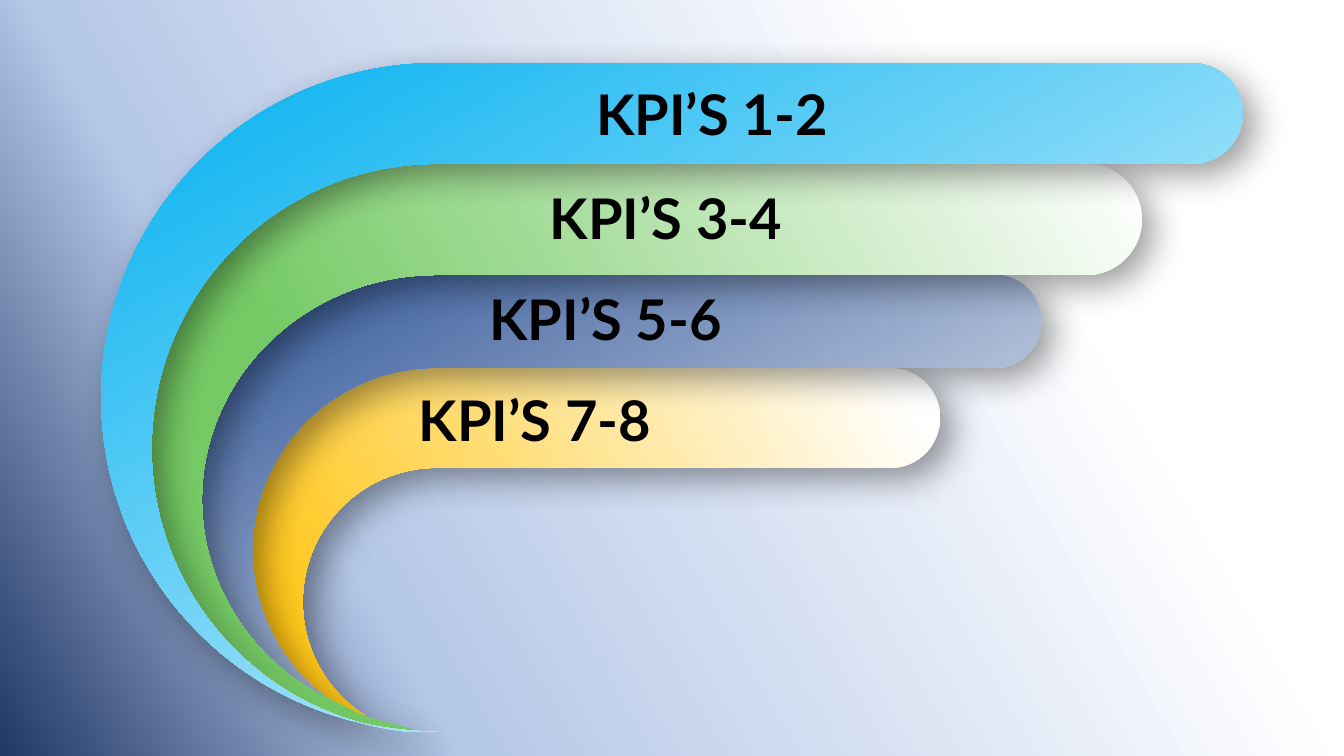
from math import cos, radians, sin, tan

from pptx import Presentation
from pptx.dml.color import RGBColor
from pptx.enum.text import MSO_AUTO_SIZE
from pptx.oxml import parse_xml
from pptx.oxml.ns import nsdecls, qn
from pptx.util import Cm, Pt

FIT_SHAPE = MSO_AUTO_SIZE.SHAPE_TO_FIT_TEXT
SHADOW = (f'<a:outerShdw {nsdecls("a")} blurRad="{Pt(25)}" dist="{Pt(12)}" dir="2700000" '
          'algn="tl" rotWithShape="0"><a:srgbClr val="000000"><a:alpha val="40000"/>'
          '</a:srgbClr></a:outerShdw>')


def set_gradient(fill, element, stops):
    """Diagonal gradient from the upper right to the lower left."""
    fill.gradient()
    fill.gradient_angle = 210
    gs_lst = element.find('.//' + qn('a:gsLst'))
    for gs in list(gs_lst):
        gs_lst.remove(gs)
    for pos, color in stops:
        gs_lst.append(parse_xml(f'<a:gs {nsdecls("a")} pos="{pos * 1000}">'
                                f'<a:srgbClr val="{color}"/></a:gs>'))


def arc(cx, cy, rx, ry, *angles):
    """Bezier curves on an ellipse; degrees run counterclockwise from the top."""
    curves = []
    for start, end in zip(angles, angles[1:]):
        a, b = radians(start), radians(end)
        k = 4 / 3 * tan((b - a) / 4)
        curves.append([
            (cx - rx * (sin(a) + k * cos(a)), cy - ry * (cos(a) - k * sin(a))),
            (cx - rx * (sin(b) - k * cos(b)), cy - ry * (cos(b) + k * sin(b))),
            (cx - rx * sin(b), cy - ry * cos(b))])
    return curves


prs = Presentation()
prs.slide_width, prs.slide_height = Cm(33.87), Cm(19.05)
slide = prs.slides.add_slide(prs.slide_layouts[6])

# Background
set_gradient(slide.background.fill, slide.element,
             [(24, 'FFFFFF'), (74, 'B4C7E7'), (100, '203864')])

# Nested ellipses in cm: each band lies between one and the next
BEND_X = 11
tops = [1.59, 4.13, 6.93, 9.27, 11.79]
ellipses = []
for i, top in enumerate(tops):
    cy = 10.01 + 1.29 * i
    ellipses.append((BEND_X, cy, 8.45 - 1.27 * i, cy - top))

# Label, text box (left, top, width), stops, rotation, outer and inner end angles, tip
bands = [
    ('KPI’S 1-2', (14.78, 1.88, 6.88), [(0, 'FFFFFF'), (100, '00B0F0')], 90, 180, 175, []),
    ('KPI’S 3-4', (13.61, 4.5, 7.11), [(0, 'FFFFFF'), (74, '75CA65')], 0, 174, 151.6,
     [(9.2, 18.06), (10.62, 18.44)]),
    ('KPI’S 5-6', (12.09, 7.04, 7.11), [(0, 'FFFFFF'), (100, '2F5597')], 90, 151.6, 143.7, []),
    ('KPI’S 7-8', (10.31, 9.6, 6.63), [(5, 'FFFFFF'), (100, 'FFC000')], 0, 143.7, 145.7,
     [(9.19, 18.01), (8.69, 17.83)]),
]

# Bands from the innermost outwards, each grouped with its label
for i, band in reversed(list(enumerate(bands))):
    label, (left, top, width), stops, rotation, outer_end, inner_end, tip = band
    shapes = slide.shapes.add_group_shape().shapes
    radius = (tops[i + 1] - tops[i]) / 2
    cap_x = 31.32 - 2.54 * i - radius
    outer_tip = arc(*ellipses[i], 0, outer_end)[0][-1]
    segments = ([[(cap_x, tops[i])]]
                + arc(cap_x, tops[i] + radius, radius, radius, 0, -90, -180)
                + [[(BEND_X, tops[i + 1])]]
                + arc(*ellipses[i + 1], 0, 90, inner_end)
                + [[point] for point in tip + [outer_tip]]
                + arc(*ellipses[i], outer_end, 90, 0))
    points = [(BEND_X, tops[i])] + [point for segment in segments for point in segment]

    # A turned band is drawn sideways, so that its gradient turns with it
    if rotation:
        xs, ys = zip(*points)
        mid_x, mid_y = (min(xs) + max(xs)) / 2, (min(ys) + max(ys)) / 2
        points = [(mid_x + y - mid_y, mid_y - x + mid_x) for x, y in points]

    points = [(Cm(x), Cm(y)) for x, y in points]
    builder = shapes.build_freeform(*points[0])
    builder.add_line_segments(points[1:], close=True)
    sp = builder.convert_to_shape()

    # Join each run of three points into one curve
    lines = iter(sp.element.findall('.//' + qn('a:lnTo')))
    for segment in segments:
        first, *others = [next(lines) for _ in segment]
        if others:
            curve = parse_xml(f'<a:cubicBezTo {nsdecls("a")}/>')
            first.addprevious(curve)
            for line in [first] + others:
                curve.append(line[0])
                line.getparent().remove(line)

    sp.rotation = rotation
    set_gradient(sp.fill, sp.element, stops)
    sp.line.fill.background()
    sp.shadow.inherit = False
    sp.element.spPr.find(qn('a:effectLst')).append(parse_xml(SHADOW))

    tf = shapes.add_textbox(Cm(left), Cm(top), Cm(width), Cm(1.96)).text_frame
    tf.word_wrap = True
    tf.auto_size = FIT_SHAPE
    p = tf.paragraphs[0]
    p.text = label
    p.font.name, p.font.size, p.font.bold = 'Lato', Pt(40), True
    p.font.color.rgb = RGBColor.from_string('000000')

prs.save("out.pptx")
